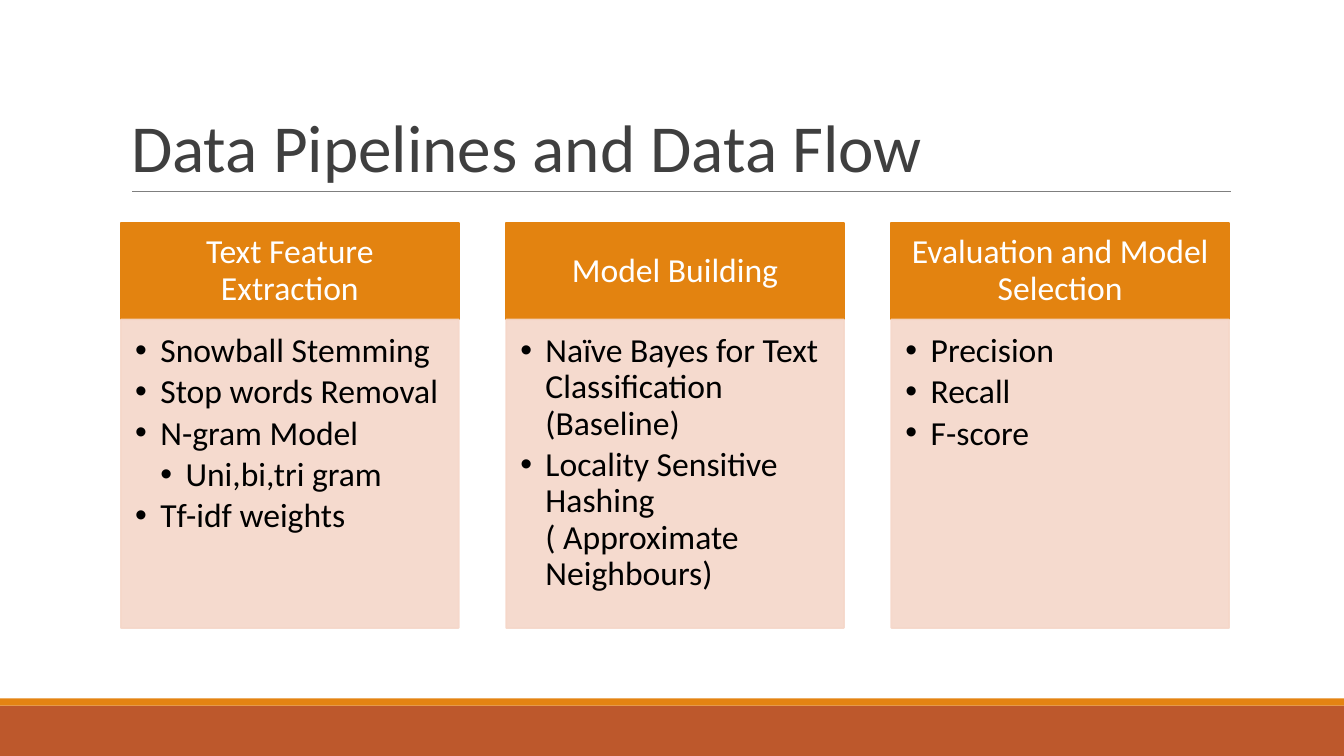
import pptx
import pptx.util
import pptx.dml.color
import pptx.enum.shapes
import pptx.enum.text
import pptx.oxml.ns
import lxml.etree
from pptx.util import Inches

FONT = "Calibri"
ORANGE, RUST, PEACH = "E38310", "BD582C", "F5D7C9"
ALIGN = pptx.enum.text.PP_ALIGN
ANCHOR = pptx.enum.text.MSO_ANCHOR

# Each column: heading and (level, text) bullets
COLUMNS = [
    ("Text Feature Extraction", [
        (1, "Snowball Stemming"),
        (1, "Stop words Removal"),
        (1, "N-gram Model"),
        (2, "Uni,bi,tri gram"),
        (1, "Tf-idf weights")]),
    ("Model Building", [
        (1, "Naïve Bayes for Text Classification (Baseline)"),
        (1, "Locality Sensitive Hashing ( Approximate Neighbours)")]),
    ("Evaluation and Model Selection", [
        (1, "Precision"),
        (1, "Recall"),
        (1, "F-score")]),
]
COL_LEFT, COL_PITCH, COL_W = 1.2, 3.82, 3.35
HEAD_TOP, HEAD_H, BODY_H = 2.21, 0.96, 3.06


def rgb(color):
    return pptx.dml.color.RGBColor.from_string(color)


def add_element(parent, tag, **attrs):
    el = lxml.etree.SubElement(parent, pptx.oxml.ns.qn(tag))
    for name, value in attrs.items():
        el.set(name, str(value))


def add_rect(s, x, y, w, h, color, outlined=False, opacity=None):
    sp = s.shapes.add_shape(pptx.enum.shapes.MSO_SHAPE.RECTANGLE,
                            Inches(x), Inches(y), Inches(w), Inches(h))
    sp.shadow.inherit = False
    sp.fill.solid()
    sp.fill.fore_color.rgb = rgb(color)
    if outlined:
        sp.line.color.rgb = rgb(color)
        sp.line.width = pptx.util.Pt(1.25)
    else:
        sp.line.fill.background()
    if opacity:
        for clr in list(sp._element.spPr.iter(pptx.oxml.ns.qn("a:srgbClr"))):
            add_element(clr, "a:alpha", val=opacity * 1000)
    return sp


def set_frame(tf, anchor, left, top, right, bottom):
    tf.word_wrap = True
    tf.auto_size = pptx.enum.text.MSO_AUTO_SIZE.NONE
    tf.vertical_anchor = anchor
    tf.margin_left, tf.margin_top = Inches(left), Inches(top)
    tf.margin_right, tf.margin_bottom = Inches(right), Inches(bottom)


def write(p, text, size=24, color="000000", align=ALIGN.LEFT, spacing=0.9, before=0):
    p.alignment = align
    p.line_spacing = spacing
    p.space_before = pptx.util.Pt(before)
    r = p.add_run()
    r.text = text
    r.font.name = FONT
    r.font.size = pptx.util.Pt(size)
    r.font.color.rgb = rgb(color)


def set_bullet(p, level):
    p.level = level
    pPr = p._p.get_or_add_pPr()
    pPr.set("marL", str(Inches(0.25 * level)))
    pPr.set("indent", str(Inches(-0.25)))
    add_element(pPr, "a:buFont", typeface="Arial")
    add_element(pPr, "a:buChar", char="•")


def add_title(s, text):
    sp = s.shapes.title
    sp.left, sp.top, sp.width, sp.height = Inches(1.2), Inches(0.31), Inches(11), Inches(1.59)
    set_frame(sp.text_frame, ANCHOR.BOTTOM, 0.1, 0.05, 0.1, 0.05)
    write(sp.text_frame.paragraphs[0], text, size=48, color="3F3F3F", spacing=0.85)


def add_rule(s, x1, x2, y):
    line = s.shapes.add_connector(pptx.enum.shapes.MSO_CONNECTOR.STRAIGHT,
                                  Inches(x1), Inches(y), Inches(x2), Inches(y))
    line.line.color.rgb = rgb("7F7F7F")
    line.line.width = pptx.util.Pt(0.75)
    add_element(line._element.spPr, "a:effectLst")


def add_column(s, x, heading, bullets):
    head = add_rect(s, x, HEAD_TOP, COL_W, HEAD_H, ORANGE, outlined=True)
    set_frame(head.text_frame, ANCHOR.MIDDLE, 0.19, 0.11, 0.19, 0.11)
    write(head.text_frame.paragraphs[0], heading, color="FFFFFF", align=ALIGN.CENTER)

    body = add_rect(s, x, HEAD_TOP + HEAD_H, COL_W, BODY_H, PEACH, outlined=True, opacity=90)
    tf = body.text_frame
    set_frame(tf, ANCHOR.TOP, 0.14, 0.14, 0.19, 0.21)
    for i, (level, text) in enumerate(bullets):
        p = tf.add_paragraph() if i else tf.paragraphs[0]
        write(p, text, before=3.6 if i else 0)
        set_bullet(p, level)


def main():
    prs = pptx.Presentation()
    prs.slide_width, prs.slide_height = Inches(13.33), Inches(7.5)
    s = prs.slides.add_slide(prs.slide_layouts[5])

    # Footer bands and title
    add_rect(s, 0, 7, 13.33, 0.5, RUST)
    add_rect(s, 0, 6.93, 13.33, 0.07, "E48312")
    add_rule(s, 1.31, 12.21, 1.9)
    add_title(s, "Data Pipelines and Data Flow")

    # Pipeline stages
    for i, (heading, bullets) in enumerate(COLUMNS):
        add_column(s, COL_LEFT + i * COL_PITCH, heading, bullets)

    prs.save("out.pptx")


if __name__ == "__main__":
    main()
